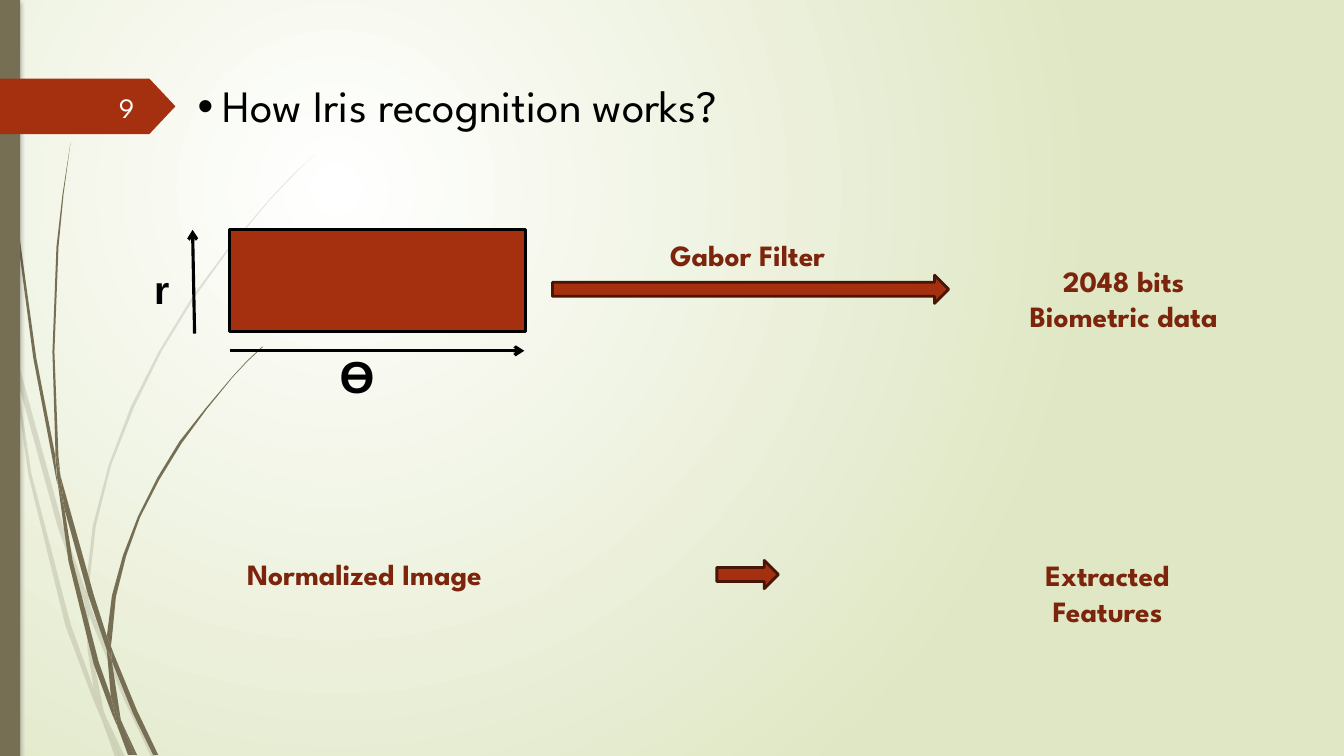
"""Build the slide on how iris recognition works."""
from dataclasses import dataclass

import lxml.etree
import pptx
import pptx.dml.color
import pptx.enum.shapes
import pptx.enum.text
import pptx.oxml
import pptx.oxml.ns
import pptx.util

Inches = pptx.util.Inches
Pt = pptx.util.Pt
qn = pptx.oxml.ns.qn
KIND = pptx.enum.shapes.MSO_SHAPE
ALIGN = pptx.enum.text.PP_ALIGN
MIDDLE = pptx.enum.text.MSO_ANCHOR.MIDDLE
FIT = pptx.enum.text.MSO_AUTO_SIZE
SPARTAN = "League Spartan"
RUST, BROWN, OLIVE, BLACK = "A53010", "7C240C", "766F54", "000000"


@dataclass
class Box:
    left: float
    top: float
    width: float
    height: float

    def emu(self) -> list:
        return [Inches(n) for n in (self.left, self.top, self.width, self.height)]


@dataclass
class Label:
    text: str
    box: Box
    size: int = 21
    font: str = SPARTAN
    color: str = BROWN
    bold: bool = True
    align: ALIGN = ALIGN.CENTER
    wrap: bool = True


@dataclass
class Block:
    kind: KIND
    box: Box
    fill: str = RUST
    line: str = ""


@dataclass
class Arrow:
    start: tuple
    end: tuple


@dataclass
class Tuft:
    """A clump of grass blades, each an outline of points."""
    alpha: int
    blades: list


PALE = Tuft(20, [
    [(0.11, 3.5), (0.08, 3.22), (0, 2.82), (0, 2.99), (0.1, 3.44)],
    [(0.57, 5.22), (0.84, 5.99), (0.85, 5.86), (0.62, 5.2), (0.14, 3.45), (0.17, 3.76)],
    [(0.92, 6.07), (0.88, 5.96), (0.88, 6.1), (1.23, 6.94), (1.5, 7.51), (1.55, 7.51),
     (1.27, 6.91)],
    [(1.19, 7.51), (1.24, 7.51), (1.05, 7.11)],
    [(0.93, 6.83), (0.7, 6.19), (0.31, 4.69), (0.17, 3.76), (0.11, 3.5), (0.28, 4.7),
     (0.65, 6.21), (0.92, 6.93), (1.01, 7.14), (0.99, 7.07)],
    [(0.84, 5.99), (0.87, 6.46), (0.93, 6.83), (0.96, 6.92), (1.05, 7.11), (1.03, 7.06),
     (0.91, 6.46), (0.88, 6.1), (0.88, 6.08)],
    [(0.88, 5.84), (0.95, 5.22), (1.1, 4.62), (1.33, 4.04), (1.6, 3.49), (1.93, 2.95),
     (2.29, 2.45), (2.68, 1.98), (2.9, 1.75), (3.12, 1.53), (2.89, 1.75), (2.68, 1.97),
     (2.28, 2.44), (1.91, 2.94), (1.58, 3.48), (1.3, 4.03), (1.08, 4.61), (0.92, 5.22),
     (0.85, 5.84), (0.85, 5.86), (0.88, 5.96)],
    [(1.01, 7.14), (1.14, 7.51), (1.19, 7.51)],
    [(0.88, 6.08), (0.88, 6.1), (0.88, 5.96), (0.85, 5.86), (0.84, 5.99)],
    [(0.96, 6.92), (0.93, 6.83), (0.99, 7.07), (1.01, 7.14), (1.19, 7.51), (1.05, 7.11)],
])
DARK = Tuft(100, [
    [(0.07, 1.1), (0.17, 2.33), (0.33, 3.55), (0.56, 4.76), (0.57, 4.81), (0.55, 4.57),
     (0.55, 4.53), (0.36, 3.55), (0.19, 2.32), (0.08, 1.09), (0.05, 0.48), (0.04, 0),
     (0.03, 0), (0.04, 0.48)],
    [(0.88, 5.92), (1.06, 6.45), (1.06, 6.33), (1.06, 6.31), (0.93, 5.9), (0.6, 4.72),
     (0.64, 5.05)],
    [(1.13, 6.49), (1.1, 6.41), (1.11, 6.56), (1.32, 7.08), (1.52, 7.49), (1.57, 7.49),
     (1.36, 7.05)],
    [(1.1, 6.91), (0.98, 6.57), (0.72, 5.56), (0.64, 5.05), (0.57, 4.77), (0.68, 5.57),
     (0.93, 6.59), (1.11, 7.08), (1.17, 7.22), (1.16, 7.17)],
    [(0.6, 4.72), (0.58, 4.53), (0.54, 3.49), (0.58, 2.45), (0.63, 1.93), (0.7, 1.41),
     (0.62, 1.93), (0.56, 2.45), (0.52, 3.49), (0.55, 4.49), (0.6, 4.71)],
    [(1.33, 7.49), (1.36, 7.49), (1.22, 7.19)],
    [(0.57, 4.77), (0.64, 5.05), (0.6, 4.72), (0.55, 4.49), (0.55, 4.53)],
    [(1.11, 6.33), (1.15, 5.92), (1.25, 5.52), (1.39, 5.13), (1.58, 4.76), (1.8, 4.4),
     (2.05, 4.06), (2.31, 3.74), (2.45, 3.59), (2.61, 3.44), (2.6, 3.44), (2.45, 3.58),
     (2.31, 3.73), (2.04, 4.05), (1.78, 4.38), (1.56, 4.74), (1.37, 5.12), (1.22, 5.51),
     (1.11, 5.91), (1.06, 6.31), (1.1, 6.41)],
    [(1.17, 7.22), (1.27, 7.49), (1.31, 7.49)],
    [(1.06, 6.45), (1.1, 6.91), (1.16, 7.06), (1.22, 7.19), (1.2, 7.15), (1.11, 6.56),
     (1.09, 6.51)],
    [(1.06, 6.45), (1.09, 6.5), (1.11, 6.56), (1.1, 6.41), (1.06, 6.31), (1.06, 6.33)],
    [(1.16, 7.06), (1.1, 6.91), (1.16, 7.17), (1.17, 7.22), (1.3, 7.49), (1.33, 7.49),
     (1.22, 7.19)],
])
BAR = Block(KIND.RECTANGLE, Box(0, 0, 0.2, 7.5), OLIVE)
TAG = Block(KIND.PENTAGON, Box(0, 0.78, 1.74, 0.55))
BLOCKS = [
    Block(KIND.RECTANGLE, Box(2.28, 2.28, 2.93, 1.01), line=BLACK),
    Block(KIND.RIGHT_ARROW, Box(5.48, 2.73, 3.93, 0.28), line="481507"),
    Block(KIND.RIGHT_ARROW, Box(7.11, 5.56, 0.61, 0.28), line="481507"),
]
ARROWS = [Arrow((1.93, 3.31), (1.91, 2.28)), Arrow((2.28, 3.48), (5.2, 3.48))]
PAGE = Label("9", Box(0.58, 0.86, 0.85, 0.4), 20, color="FEFFFF", bold=False,
             align=ALIGN.RIGHT)
LABELS = [
    Label("r", Box(1.43, 2.58, 0.35, 0.57), 28, "Arial", BLACK, align=ALIGN.LEFT, wrap=False),
    Label("Ɵ", Box(3.27, 3.41, 0.55, 0.64), 32, "Arial", BLACK, align=ALIGN.LEFT, wrap=False),
    Label("Normalized Image", Box(1.98, 5.47, 3.27, 0.45)),
    Label("Gabor Filter", Box(6.28, 2.3, 2.27, 0.45)),
    Label("2048 bits Biometric data", Box(10.01, 2.56, 2.27, 0.81)),
    Label("Extracted Features", Box(9.85, 5.48, 2.27, 0.81)),
]


def rgb(code: str) -> pptx.dml.color.RGBColor:
    return pptx.dml.color.RGBColor.from_string(code)


def add_tag(node, name: str, **attrs: str):
    return lxml.etree.SubElement(node, qn(name), **attrs)


def paint(shape, fill: str, line: str = "") -> None:
    shape.shadow.inherit = False
    shape.fill.solid()
    shape.fill.fore_color.rgb = rgb(fill)
    if line:
        shape.line.color.rgb = rgb(line)
        shape.line.width = Pt(2)
    else:
        shape.line.fill.background()


def add_run(para, text: str, size: int, font: str, color: str, bold: bool) -> None:
    run = para.add_run()
    run.text = text
    run.font.size = Pt(size)
    run.font.name = font
    run.font.bold = bold
    run.font.color.rgb = rgb(color)


def add_block(slide, block: Block):
    shape = slide.shapes.add_shape(block.kind, *block.box.emu())
    paint(shape, block.fill, block.line)
    return shape


def add_label(slide, label: Label):
    frame = slide.shapes.add_textbox(*label.box.emu()).text_frame
    frame.word_wrap = label.wrap
    frame.auto_size = FIT.SHAPE_TO_FIT_TEXT
    para = frame.paragraphs[0]
    para.alignment = label.align
    add_run(para, label.text, label.size, label.font, label.color, label.bold)
    return frame


def add_arrow(slide, arrow: Arrow) -> None:
    ends = [Inches(n) for n in arrow.start + arrow.end]
    line = slide.shapes.add_connector(pptx.enum.shapes.MSO_CONNECTOR.STRAIGHT, *ends)
    line.line.color.rgb = rgb(BLACK)
    line.line.width = Pt(2.25)
    props = line._element.spPr
    add_tag(props.find(qn("a:ln")), "a:tailEnd", type="arrow")
    add_tag(props, "a:effectLst")


def add_tuft(slide, tuft: Tuft) -> None:
    group = slide.shapes.add_group_shape()
    for blade in tuft.blades:
        first, *rest = [(Inches(x), Inches(y)) for x, y in blade]
        pen = group.shapes.build_freeform(*first)
        pen.add_line_segments(rest, close=True)
        shape = pen.convert_to_shape()
        paint(shape, OLIVE)
        if tuft.alpha < 100:
            tint = shape._element.spPr.find(".//" + qn("a:srgbClr"))
            add_tag(tint, "a:alpha", val=str(tuft.alpha * 1000))


def add_shade(shape) -> None:
    effect = shape._element.spPr.find(qn("a:effectLst"))
    shade = add_tag(effect, "a:outerShdw", blurRad=str(Pt(3)), dist=str(Pt(2)), dir="5400000")
    add_tag(add_tag(shade, "a:srgbClr", val=BLACK), "a:alpha", val="25000")


def set_back(slide) -> None:
    fill = slide.background.fill
    fill.gradient()
    for stop, place, code in zip(fill.gradient_stops, (0, 1), ("FFFFFF", "DFE7C4")):
        stop.position = place
        stop.color.rgb = rgb(code)
    grad = slide._element.find(".//" + qn("a:gradFill"))
    grad.remove(grad.find(qn("a:lin")))
    ring = add_tag(grad, "a:path", path="circle")
    add_tag(ring, "a:fillToRect", l="25000", t="25000", r="75000", b="75000")


def set_title(slide) -> None:
    title = slide.shapes.title
    title.left, title.top, title.width, title.height = Box(1.96, 0.55, 9.75, 1.05).emu()
    frame = title.text_frame
    frame.margin_left = frame.margin_top = frame.margin_right = frame.margin_bottom = 0
    frame.vertical_anchor, frame.auto_size = MIDDLE, FIT.NONE
    para = frame.paragraphs[0]
    para.alignment = ALIGN.LEFT
    para.line_spacing, para.space_before = 0.9, Pt(10)
    props = para._p.get_or_add_pPr()
    props.set("marL", str(Inches(0.25)))
    props.set("indent", str(Inches(-0.25)))
    add_tag(props, "a:buFont", typeface="Arial")
    add_tag(props, "a:buChar", char="•")
    add_run(para, "How Iris recognition works?", 32, SPARTAN, BLACK, False)


def main() -> None:
    deck = pptx.Presentation()
    deck.slide_width, deck.slide_height = Inches(13.33), Inches(7.5)
    slide = deck.slides.add_slide(deck.slide_layouts[5])
    set_back(slide)
    set_title(slide)
    for tuft in (PALE, DARK):
        add_tuft(slide, tuft)
    add_shade(add_block(slide, BAR))
    add_block(slide, TAG).adjustments[0] = 0.47
    page = add_label(slide, PAGE)
    page.vertical_anchor, page.auto_size = MIDDLE, FIT.NONE
    for block in BLOCKS:
        add_block(slide, block)
    for arrow in ARROWS:
        add_arrow(slide, arrow)
    for label in LABELS:
        add_label(slide, label)
    deck.save("out.pptx")


if __name__ == "__main__":
    main()
